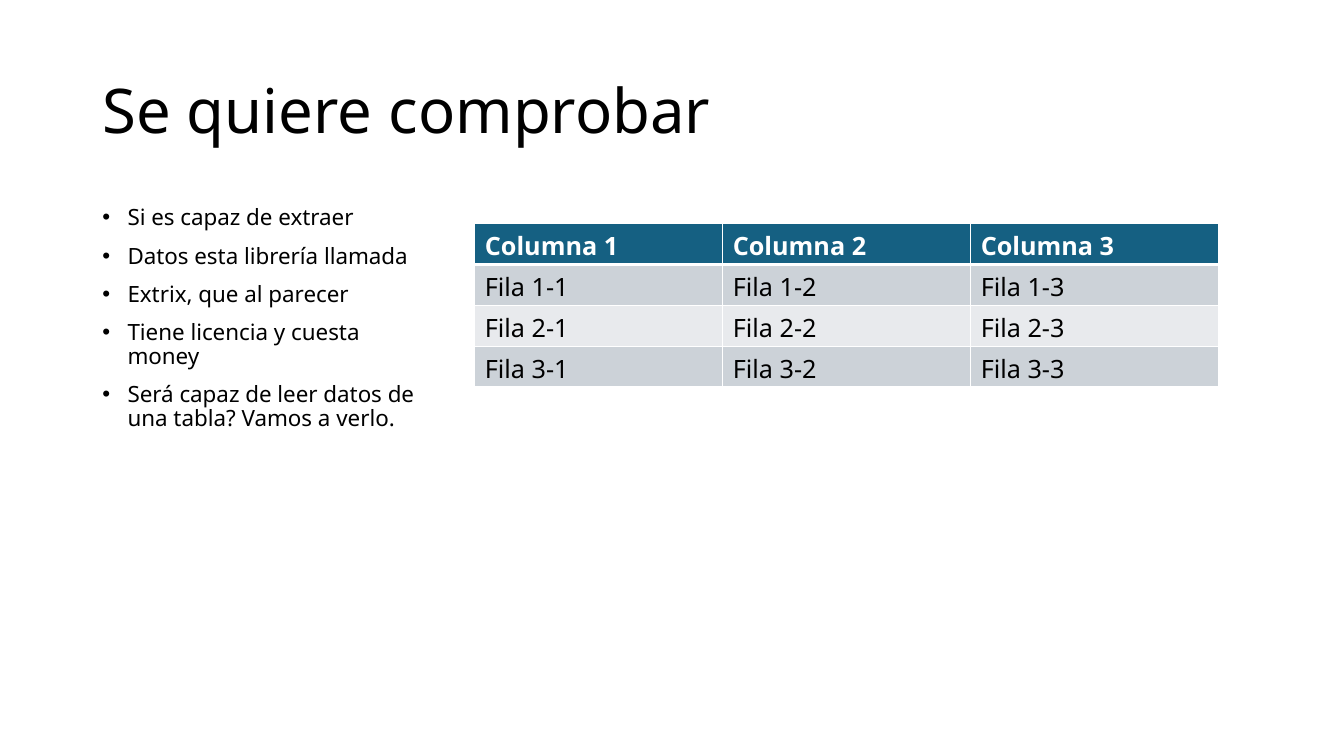
from dataclasses import dataclass

from lxml import etree
from pptx import Presentation, util as u
from pptx.dml.color import RGBColor
from pptx.enum import text
from pptx.oxml import ns

WIDTH, HEIGHT = u.Inches(13.33), u.Inches(7.5)
FONT = "Noto Sans"
COLORS = {"ink": "000000", "paper": "FFFFFF", "header": "156082",
          "band_dark": "CCD2D8", "band_light": "E8EAED"}
BULLET_INDENT = u.Inches(0.25)
COLUMNS, BODY_ROWS = 3, 3


@dataclass
class Area:
    """A region given in percent of the slide's width and height."""
    left: float
    top: float
    width: float
    height: float

    def lengths(self) -> list[int]:
        sides = (WIDTH, HEIGHT, WIDTH, HEIGHT)
        shares = (self.left, self.top, self.width, self.height)
        return [round(side * share / 100) for side, share in zip(sides, shares)]


@dataclass
class TextBlock:
    area: Area
    lines: list[str]
    size: int
    frame_format: dict
    para_format: dict
    bulleted: bool = False


def apply_format(target, values: dict) -> None:
    for name, value in values.items():
        setattr(target, name, value)


def write_span(para, words: str, size: int, color: str, bold: bool = False) -> None:
    span = para.add_run()
    span.text = words
    apply_format(span.font, {"name": FONT, "size": u.Pt(size), "bold": bold})
    span.font.color.rgb = RGBColor.from_string(COLORS[color])


def add_bullet(para) -> None:
    properties = para._p.get_or_add_pPr()
    properties.set("marL", str(BULLET_INDENT))
    properties.set("indent", str(-BULLET_INDENT))
    etree.SubElement(properties, ns.qn("a:buFont"), typeface="Arial")
    etree.SubElement(properties, ns.qn("a:buChar"), char="•")


def draw_text(page, block: TextBlock) -> None:
    frame = page.shapes.add_textbox(*block.area.lengths()).text_frame
    apply_format(frame, {"word_wrap": True, **block.frame_format})
    for index, line in enumerate(block.lines):
        para = frame.add_paragraph() if index else frame.paragraphs[0]
        apply_format(para, block.para_format)
        write_span(para, line, block.size, "ink")
        if block.bulleted:
            add_bullet(para)


def draw_borders(cell, widths: dict[str, int]) -> None:
    properties = cell._tc.get_or_add_tcPr()
    for position, (side, points) in enumerate(widths.items()):
        line = etree.Element(ns.qn(f"a:ln{side}"), w=str(u.Pt(points)))
        fill = etree.SubElement(line, ns.qn("a:solidFill"))
        etree.SubElement(fill, ns.qn("a:srgbClr"), val=COLORS["paper"])
        properties.insert(position, line)


def draw_table(page, area: Area, rows: list[list[str]]) -> None:
    table = page.shapes.add_table(len(rows), COLUMNS, *area.lengths()).table
    for row, labels in enumerate(rows):
        is_header = row == 0
        band = "header" if is_header else ("band_light", "band_dark")[row % 2]
        for column, label in enumerate(labels):
            cell = table.cell(row, column)
            cell.fill.solid()
            cell.fill.fore_color.rgb = RGBColor.from_string(COLORS[band])
            draw_borders(cell, {"L": 1, "R": 1, "T": 3 if row == 1 else 1,
                                "B": 3 if is_header else 1})
            write_span(cell.text_frame.paragraphs[0], label, 18,
                       "paper" if is_header else "ink", is_header)


def main() -> None:
    deck = Presentation()
    apply_format(deck, {"slide_width": WIDTH, "slide_height": HEIGHT})
    page = deck.slides.add_slide(deck.slide_layouts[6])

    # Title and bullet list
    blocks = [
        TextBlock(Area(6.88, 5.32, 86.25, 19.33), ["Se quiere comprobar"], 44,
                  {"vertical_anchor": text.MSO_ANCHOR.MIDDLE},
                  {"line_spacing": 0.9}),
        TextBlock(Area(6.88, 26.67, 24.75, 32.13),
                  ["Si es capaz de extraer",
                   "Datos esta librería llamada",
                   "Extrix, que al parecer",
                   "Tiene licencia y cuesta money",
                   "Será capaz de leer datos de una tabla? Vamos a verlo."],
                  16, {"vertical_anchor": text.MSO_ANCHOR.TOP},
                  {"line_spacing": 0.9, "space_before": u.Pt(10)}, bulleted=True),
    ]
    for block in blocks:
        draw_text(page, block)

    # Table with numbered labels
    numbers = range(1, COLUMNS + 1)
    header = [f"Columna {column}" for column in numbers]
    body = [[f"Fila {row}-{column}" for column in numbers]
            for row in range(1, BODY_ROWS + 1)]
    draw_table(page, Area(35.33, 29.6, 55.35, 21.6), [header, *body])

    deck.save("out.pptx")


if __name__ == "__main__":
    main()
